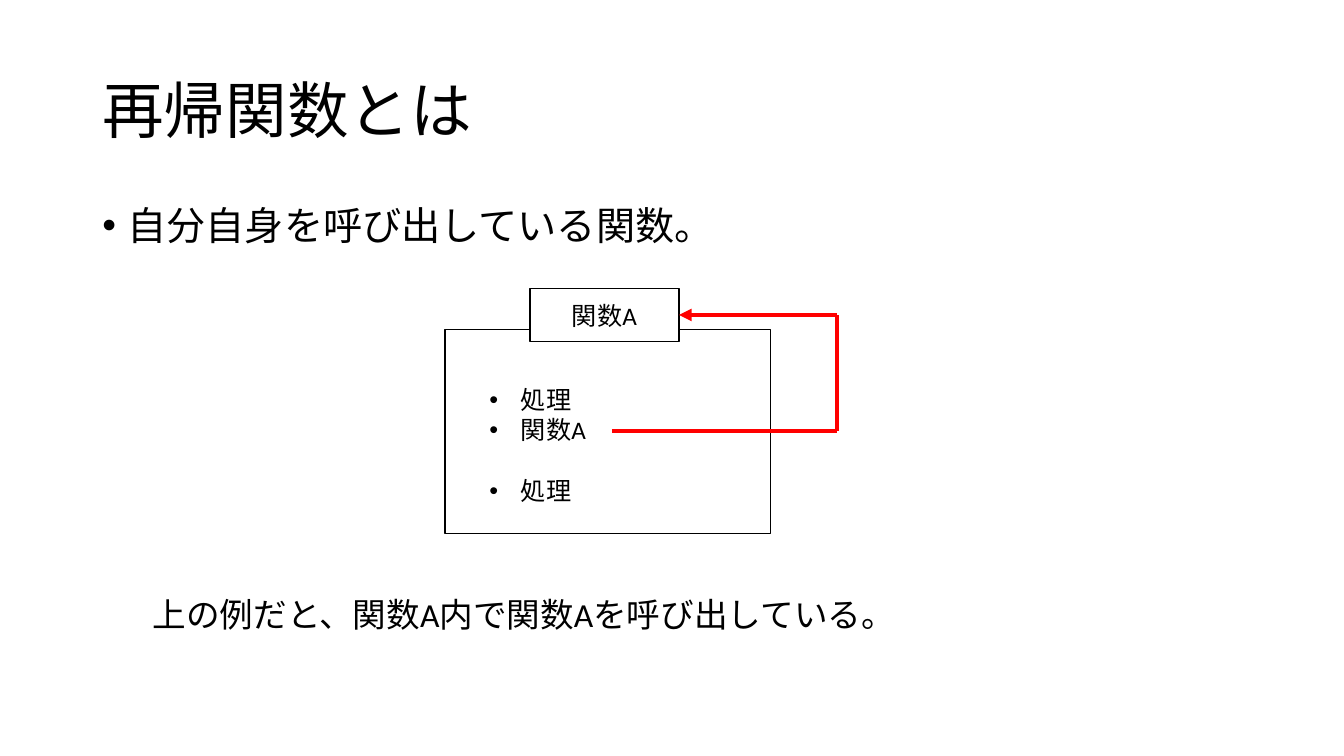
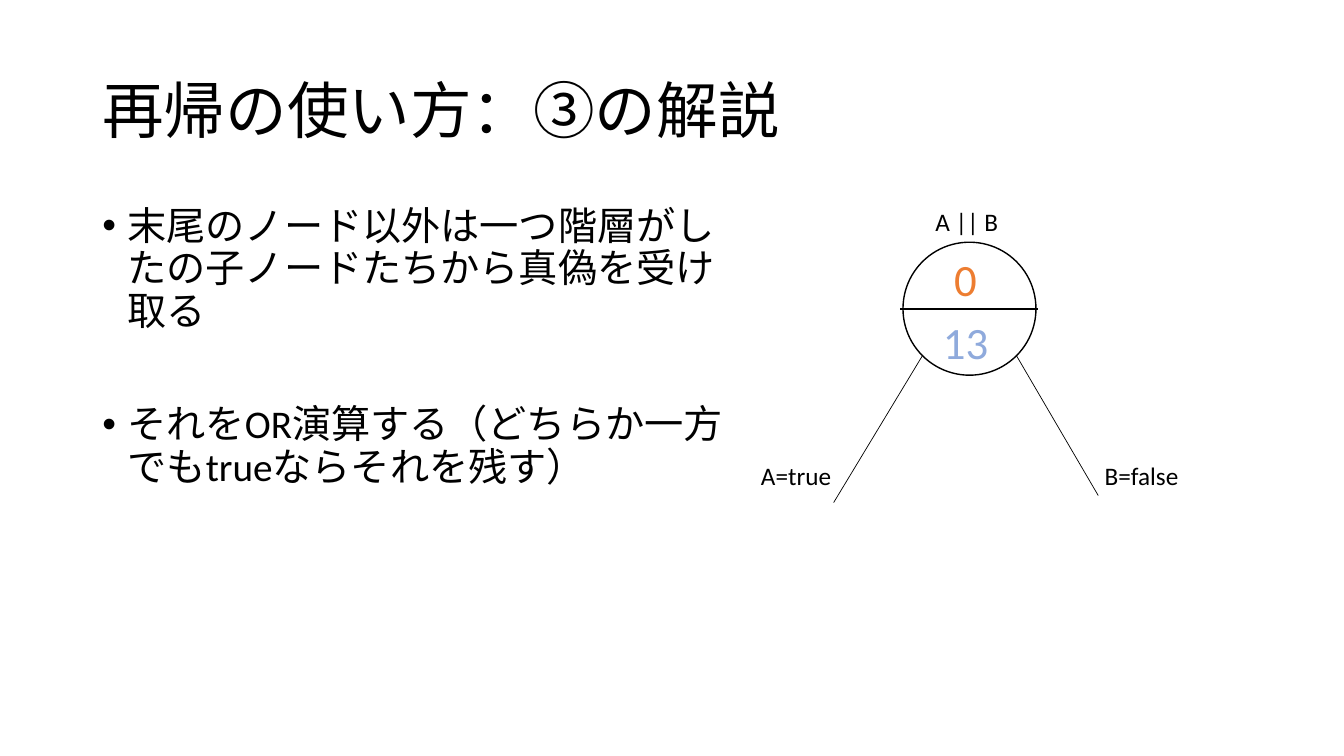
from itertools import pairwise

from lxml.etree import SubElement
from pptx import Presentation
from pptx.dml.color import RGBColor
from pptx.enum.shapes import MSO_CONNECTOR as Connector, MSO_SHAPE as Shape
from pptx.enum.text import MSO_ANCHOR as Anchor, PP_ALIGN as Align
from pptx.oxml.ns import qn
from pptx.util import Pt

COLORS = {
    "ink": "000000",
    "paper": "FFFFFF",
    "call": "FF0000",
    "upper": "ED7D31",
    "lower": "8FAADC",
}
FONT = "Calibri"
MARGIN = 66
BODY_TOP = 144


def color(name):
    """Return the named colour of the deck."""
    return RGBColor.from_string(COLORS[name])


def style(para, size, ink="ink", spacing=None, before=0):
    """Set the font and spacing of a paragraph."""
    para.font.name = FONT
    para.font.size = Pt(size)
    para.font.color.rgb = color(ink)
    para.space_before = Pt(before)
    if spacing:
        para.line_spacing = spacing


def indent(para, left, bullet=True):
    """Indent a paragraph and hang a bullet in the indent."""
    props = para._p.get_or_add_pPr()
    props.set("marL", str(Pt(left)))
    props.set("indent", str(-Pt(left) if bullet else 0))
    if bullet:
        SubElement(props, qn("a:buFont"), typeface="Arial")
        SubElement(props, qn("a:buChar"), char="•")


def add_text(page, left, top, width, height, lines, size, ink="ink", spacing=None):
    """Add a text box of (text, space before) lines and return its frame."""
    box = page.shapes.add_textbox(Pt(left), Pt(top), Pt(width), Pt(height))
    frame = box.text_frame
    frame.word_wrap = True
    for index, (text, before) in enumerate(lines):
        para = frame.add_paragraph() if index else frame.paragraphs[0]
        para.text = text
        style(para, size, ink, spacing, before)
    return frame


def add_label(page, left, top, text, size=18, ink="ink"):
    """Add a one-line label."""
    add_text(page, left, top, 130, 29, [(text, 0)], size, ink)


def add_outline(page, kind, left, top, width, height):
    """Add a white shape with a thin black outline."""
    shape = page.shapes.add_shape(kind, Pt(left), Pt(top), Pt(width), Pt(height))
    shape.shadow.inherit = False
    shape.fill.solid()
    shape.fill.fore_color.rgb = color("paper")
    shape.line.color.rgb = color("ink")
    shape.line.width = Pt(1)
    return shape


def add_line(page, start, end, width, ink="ink"):
    """Add a straight line between two points."""
    line = page.shapes.add_connector(
        Connector.STRAIGHT, *(Pt(value) for value in (*start, *end))
    )
    line.line.color.rgb = color(ink)
    line.line.width = Pt(width)
    SubElement(line._element.spPr, qn("a:effectLst"))
    return line


def add_page(deck, title):
    """Add a blank page with its title."""
    page = deck.slides.add_slide(deck.slide_layouts[6])
    frame = add_text(page, MARGIN, 29, 828, 104, [(title, 0)], 44, spacing=0.9)
    frame.vertical_anchor = Anchor.MIDDLE
    return page


def add_body(page, width, lines):
    """Add the bulleted body text under the title."""
    frame = add_text(page, MARGIN, BODY_TOP, width, 343, lines, 28, spacing=0.9)
    for para in frame.paragraphs:
        indent(para, 18)
    return frame


def add_function_diagram(page, left, top):
    """Draw a function whose second step calls the function itself."""
    add_outline(page, Shape.RECTANGLE, left, top + 29.5, 232.5, 145.5)
    name_box = add_outline(page, Shape.RECTANGLE, left + 60.5, top, 106.5, 38)
    name_box.text_frame.vertical_anchor = Anchor.MIDDLE
    name = name_box.text_frame.paragraphs[0]
    name.text = "関数A"
    name.alignment = Align.CENTER
    style(name, 18)

    call_y, return_y, turn_x = top + 102, top + 19, left + 280
    route = [
        (left + 119, call_y),
        (turn_x, call_y),
        (turn_x, return_y),
        (left + 167, return_y),
    ]
    for start, end in pairwise(route):
        arrow = add_line(page, start, end, 3, "call")
    arrow.end_connect(name_box, 3)
    SubElement(arrow.line._get_or_add_ln(), qn("a:tailEnd"), type="triangle")

    lines = [("処理", 0), ("関数A", 0), ("処理", 22)]
    steps = add_text(page, left + 24.5, top + 65, 189, 94, lines, 18)
    for para in steps.paragraphs:
        indent(para, 22.5)


def add_node_diagram(page, left, top):
    """Draw a tree node with two values and two branches."""
    radius = 47.5
    center_x, center_y = left + 156, top + 76.5
    diagonal = radius * 0.5**0.5
    add_outline(
        page, Shape.OVAL, center_x - radius, center_y - radius, 2 * radius, 2 * radius
    )
    add_line(page, (center_x - 49.5, center_y), (center_x + 49, center_y), 1.5)
    add_label(page, center_x - 18, top + 32.5, "0", 32, "upper")
    add_label(page, center_x - 26, top + 77, "13", 32, "lower")

    for side, end in ((-1, (left + 59, top + 215)), (1, (left + 248, top + 210))):
        start = (center_x + side * diagonal, center_y + diagonal)
        add_line(page, start, end, 0.5)
    add_label(page, left, top + 181, "A=true")
    add_label(page, left + 245.5, top + 181, "B=false")
    add_label(page, left + 124.5, top, "A || B")


def add_definition_page(deck):
    """Build the page that defines a recursive function."""
    page = add_page(deck, "再帰関数とは")
    frame = add_body(page, 828, [("自分自身を呼び出している関数。", 0)])
    note = frame.add_paragraph()
    note.text = "上の例だと、関数A内で関数Aを呼び出している。"
    style(note, 24, spacing=0.9, before=250)
    indent(note, 36, bullet=False)
    add_function_diagram(page, 318, 206)


def add_usage_page(deck):
    """Build the page that explains the third use of recursion."""
    page = add_page(deck, "再帰の使い方：③の解説")
    lines = [
        ("末尾のノード以外は一つ階層がしたの子ノードたちから真偽を受け取る", 0),
        ("それをOR演算する（どちらか一方でもtrueならそれを残す）", 51),
    ]
    add_body(page, 472, lines)
    add_node_diagram(page, 536.5, BODY_TOP)


def main():
    """Build and save the deck."""
    deck = Presentation()
    deck.slide_width, deck.slide_height = Pt(960), Pt(540)
    add_definition_page(deck)
    add_usage_page(deck)
    deck.save("out.pptx")


if __name__ == "__main__":
    main()
